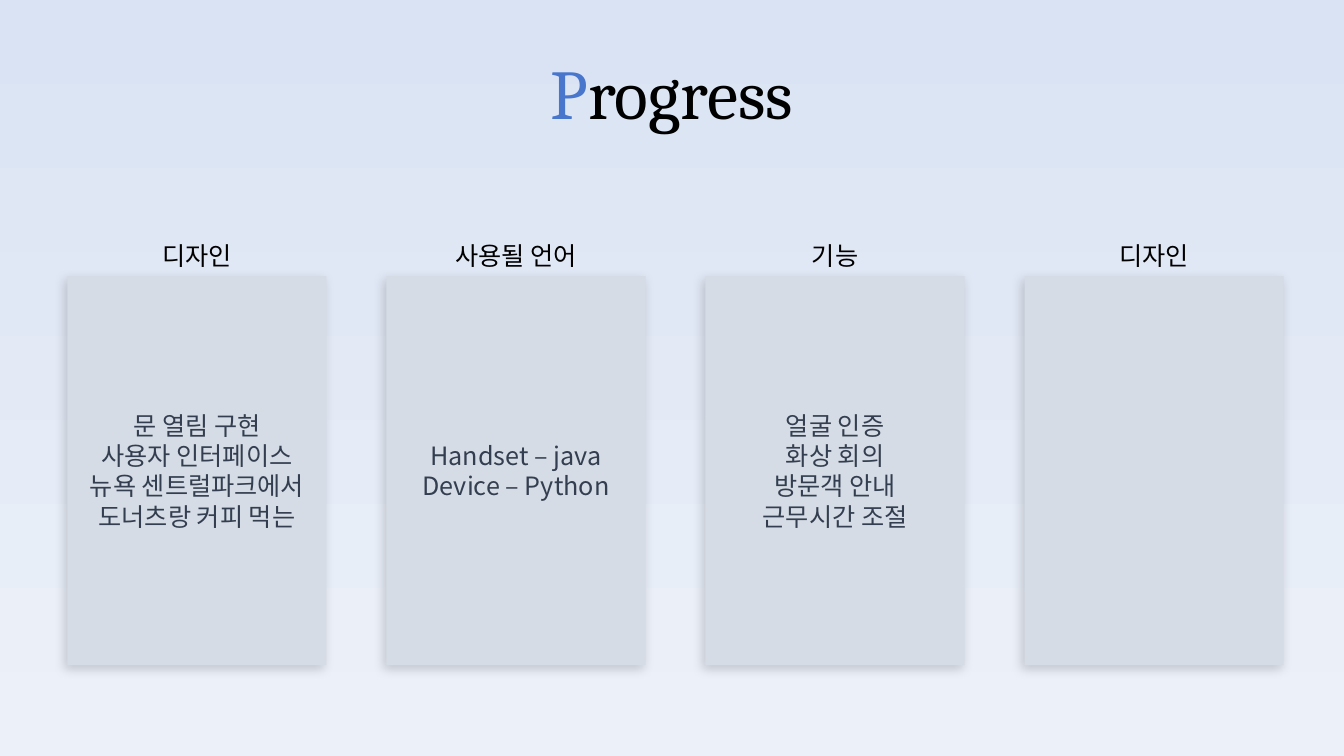
from lxml import etree
from pptx import Presentation
from pptx.dml.color import RGBColor
from pptx.enum.shapes import MSO_SHAPE
from pptx.enum.text import MSO_ANCHOR, PP_ALIGN
from pptx.oxml.ns import qn
from pptx.util import Cm, Pt

RECT = MSO_SHAPE.RECTANGLE
MIDDLE = MSO_ANCHOR.MIDDLE
CENTER = PP_ALIGN.CENTER

BLACK = RGBColor(0x00, 0x00, 0x00)
BLUE = RGBColor(0x47, 0x76, 0xCC)
SLATE = RGBColor(0x33, 0x3F, 0x50)
GREY = RGBColor(0xD6, 0xDC, 0xE5)
PALE = RGBColor(0xEC, 0xF1, 0xF9)
SKY = RGBColor(0xDA, 0xE3, 0xF3)

SERIF = "Cambria"
SANS = "Noto Sans CJK KR"

WIDTH, HEIGHT = Cm(33.87), Cm(19.05)
LEFT, STEP, CARD_W = Cm(1.7), Cm(8.04), Cm(6.53)
LABEL_TOP, LABEL_H = Cm(5.94), Cm(1.03)
CARD_TOP, CARD_H = Cm(6.96), Cm(9.8)

CARDS = [
    ("디자인", "문 열림 구현\n사용자 인터페이스\n뉴욕 센트럴파크에서 도너츠랑 커피 먹는"),
    ("사용될 언어", "Handset – java\nDevice – Python"),
    ("기능", "얼굴 인증\n화상 회의\n방문객 안내\n근무시간 조절"),
    ("디자인", ""),
]


def paint_back(slide):
    fill = slide.background.fill
    fill.gradient()
    fill.gradient_angle = 90
    for stop, color in zip(fill.gradient_stops, (PALE, SKY)):
        stop.color.rgb = color


def style_text(shape, font, size, color):
    """Centre the text and set its font for Latin and Korean letters."""
    shape.text_frame.word_wrap = True
    for para in shape.text_frame.paragraphs:
        para.alignment = CENTER
        for run in para.runs:
            run.font.name = font
            run.font.size = Pt(size)
            run.font.color.rgb = color
    for props in shape.element.iter(qn("a:rPr")):
        etree.SubElement(props, qn("a:ea"), typeface=font)


def add_title(slide):
    box = slide.shapes.add_textbox(0, Cm(1.12), WIDTH, Cm(2.39))
    para = box.text_frame.paragraphs[0]
    for part in ("P", "rogress"):
        para.add_run().text = part
    style_text(box, SERIF, 50, BLACK)
    para.runs[0].font.color.rgb = BLUE


def add_label(slide, left, text):
    box = slide.shapes.add_textbox(left, LABEL_TOP, CARD_W, LABEL_H)
    box.text_frame.text = text
    style_text(box, SANS, 18, BLACK)


def add_shadow(shape):
    """Cast a soft shadow down and to the left."""
    shape.shadow.inherit = False
    effects = shape.element.spPr.find(qn("a:effectLst"))
    outer = etree.SubElement(
        effects, qn("a:outerShdw"), blurRad=str(Pt(8)), dist=str(Pt(3)),
        dir=str(130 * 60000), algn="ctr", rotWithShape="0")
    color = etree.SubElement(outer, qn("a:srgbClr"), val=str(BLACK))
    etree.SubElement(color, qn("a:alpha"), val="17000")


def add_card(slide, left, text):
    card = slide.shapes.add_shape(RECT, left, CARD_TOP, CARD_W, CARD_H)
    card.fill.solid()
    card.fill.fore_color.rgb = GREY
    card.line.fill.background()
    add_shadow(card)
    card.text_frame.text = text
    card.text_frame.vertical_anchor = MIDDLE
    style_text(card, SANS, 18, SLATE)


def main():
    deck = Presentation()
    deck.slide_width, deck.slide_height = WIDTH, HEIGHT
    slide = deck.slides.add_slide(deck.slide_layouts[6])
    paint_back(slide)
    add_title(slide)
    for i, (label, text) in enumerate(CARDS):
        left = LEFT + i * STEP
        add_card(slide, left, text)
        add_label(slide, left, label)
    deck.save("out.pptx")


if __name__ == "__main__":
    main()
